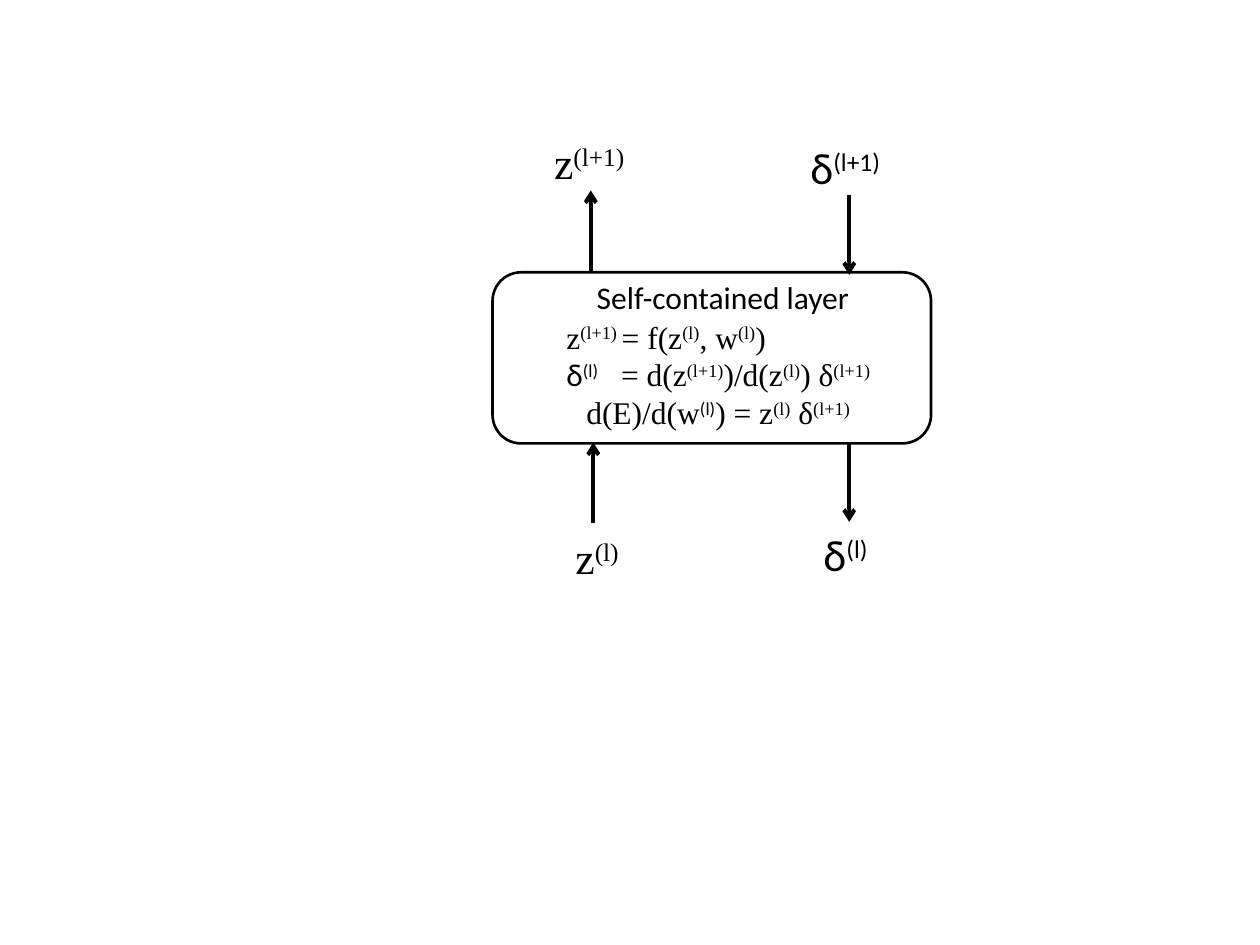
from pptx import Presentation
from pptx.dml.color import RGBColor
from pptx.enum.shapes import MSO_CONNECTOR as Conn, MSO_SHAPE as Shape
from pptx.enum.text import MSO_AUTO_SIZE as Fit, PP_ALIGN as Align
from pptx.oxml.ns import qn
from pptx.util import Cm, Pt
from lxml.etree import SubElement

BLACK = RGBColor(0, 0, 0)
SANS, SERIF = "Calibri", "Times New Roman"


def fill_para(para, text, size, fonts, rest=SERIF):
    """Set runs from text in which ^ switches superscript on and off."""
    for i, part in enumerate(text.split("^")):
        if not part:
            continue
        run = para.add_run()
        run.text = part
        run.font.size = Pt(size)
        run.font.name = fonts.get(i, rest)
        run.font.color.rgb = BLACK
        if i % 2:
            run._r.get_or_add_rPr().set("baseline", "30000")


def add_text(slide, x, y, w, h):
    """Add an unwrapped text box and return its frame."""
    frame = slide.shapes.add_textbox(Cm(x), Cm(y), Cm(w), Cm(h)).text_frame
    frame.word_wrap = False
    frame.auto_size = Fit.SHAPE_TO_FIT_TEXT
    return frame


def add_arrow(slide, x, start, end):
    """Draw a vertical arrow from start to end."""
    line = slide.shapes.add_connector(Conn.STRAIGHT, Cm(x), Cm(start), Cm(x), Cm(end))
    line.line.color.rgb = BLACK
    line.line.width = Pt(2.25)
    SubElement(line.line._get_or_add_ln(), qn("a:tailEnd"), type="arrow")
    SubElement(line._element.spPr, qn("a:effectLst"))


def draw_layer(slide, x, y, w, h):
    """Draw the layer box with its title and equations."""
    box = slide.shapes.add_shape(Shape.ROUNDED_RECTANGLE, Cm(x), Cm(y), Cm(w), Cm(h))
    box.shadow.inherit = False
    box.fill.background()
    box.line.color.rgb = BLACK
    box.line.width = Pt(1.5)

    title = add_text(slide, x + 1.85, y, 5.72, 1.02)
    fill_para(title.paragraphs[0], "Self-contained layer", 18, {}, SANS)

    body = add_text(slide, x + 1.24, y + 0.79, 7.14, 3.07)
    body.word_wrap = True
    rows = [
        ("z^(l+1) ^= f(z^(l)^, w^(l)^)", {}),
        ("δ^(l)^\t= d(z^(l+1)^)/d(z^(l)^) δ^(l+1)", {0: SANS, 1: SANS}),
        ("d(E)/d(w^(l)^) = z^(l)^ δ^(l+1)", {1: SANS}),
    ]
    paras = [body.paragraphs[0], body.add_paragraph(), body.add_paragraph()]
    for para, (text, fonts) in zip(paras, rows):
        fill_para(para, text, 18, fonts)
    tabs = SubElement(paras[1]._p.get_or_add_pPr(), qn("a:tabLst"))
    SubElement(tabs, qn("a:tab"), pos=str(Cm(1.1)), algn="l")
    paras[2]._p.get_or_add_pPr().set("marL", str(Cm(0.4)))


def draw_ports(slide, x, y):
    """Draw the arrows and labels around the layer box at x, y."""
    ports = [
        ("z^(l+1)", SERIF, 0.99, -2.87, 2.11, 1.98, 0, -1.65),
        ("δ^(l+1)", SANS, 6.07, -2.77, 2.08, 7.19, -1.55, 0.05),
        ("z^(l)", SERIF, 1.42, 5.08, 1.47, 2.03, 5.05, 3.43),
        ("δ^(l)", SANS, 6.38, 5.03, 1.47, 7.19, 3.43, 5.03),
    ]
    for text, font, left, top, width, mid, start, end in ports:
        para = add_text(slide, x + left, y + top, width, 1.32).paragraphs[0]
        para.alignment = Align.CENTER if font == SANS else Align.LEFT
        fill_para(para, text, 25, {}, font)
        add_arrow(slide, x + mid, y + start, y + end)


def main():
    """Build and save the slide."""
    deck = Presentation()
    deck.slide_width, deck.slide_height = Cm(25.4), Cm(19.05)
    slide = deck.slides.add_slide(deck.slide_layouts[6])
    draw_layer(slide, 9.93, 5.49, 8.84, 3.45)
    draw_ports(slide, 9.93, 5.49)
    deck.save("out.pptx")


if __name__ == "__main__":
    main()
